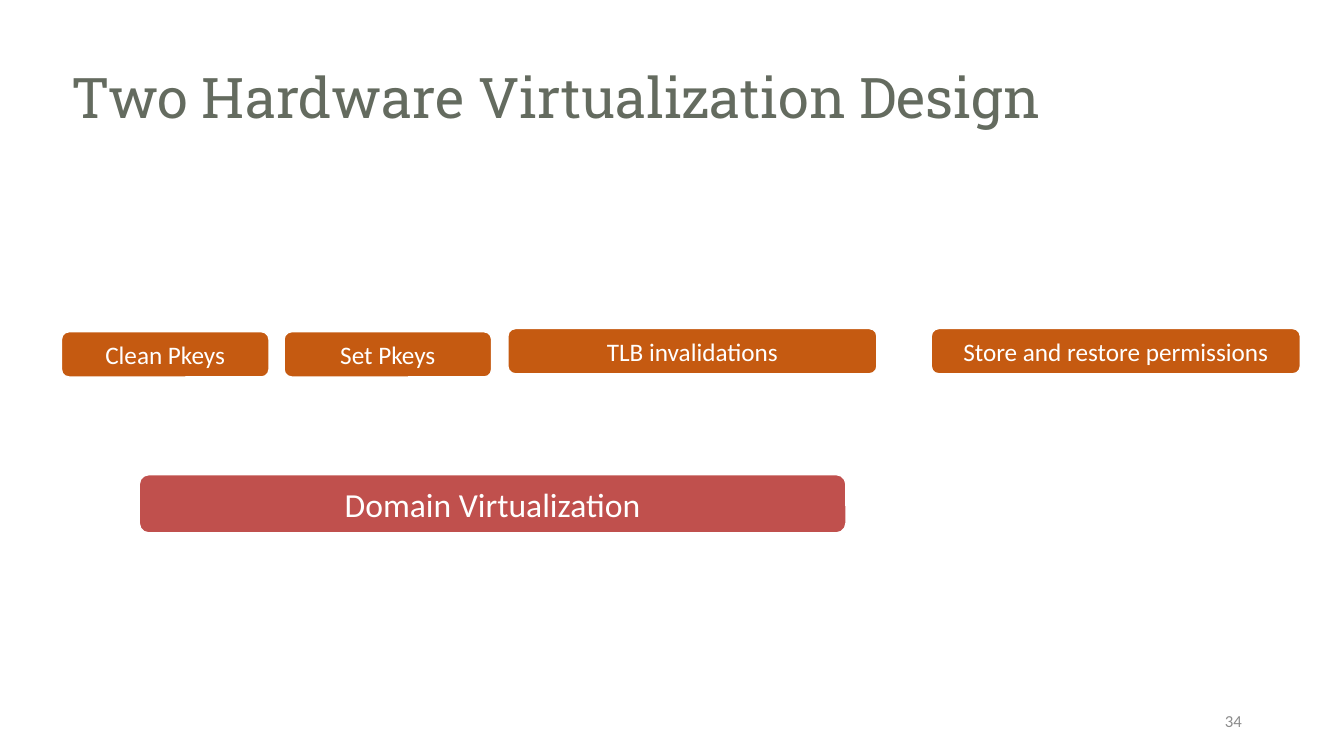
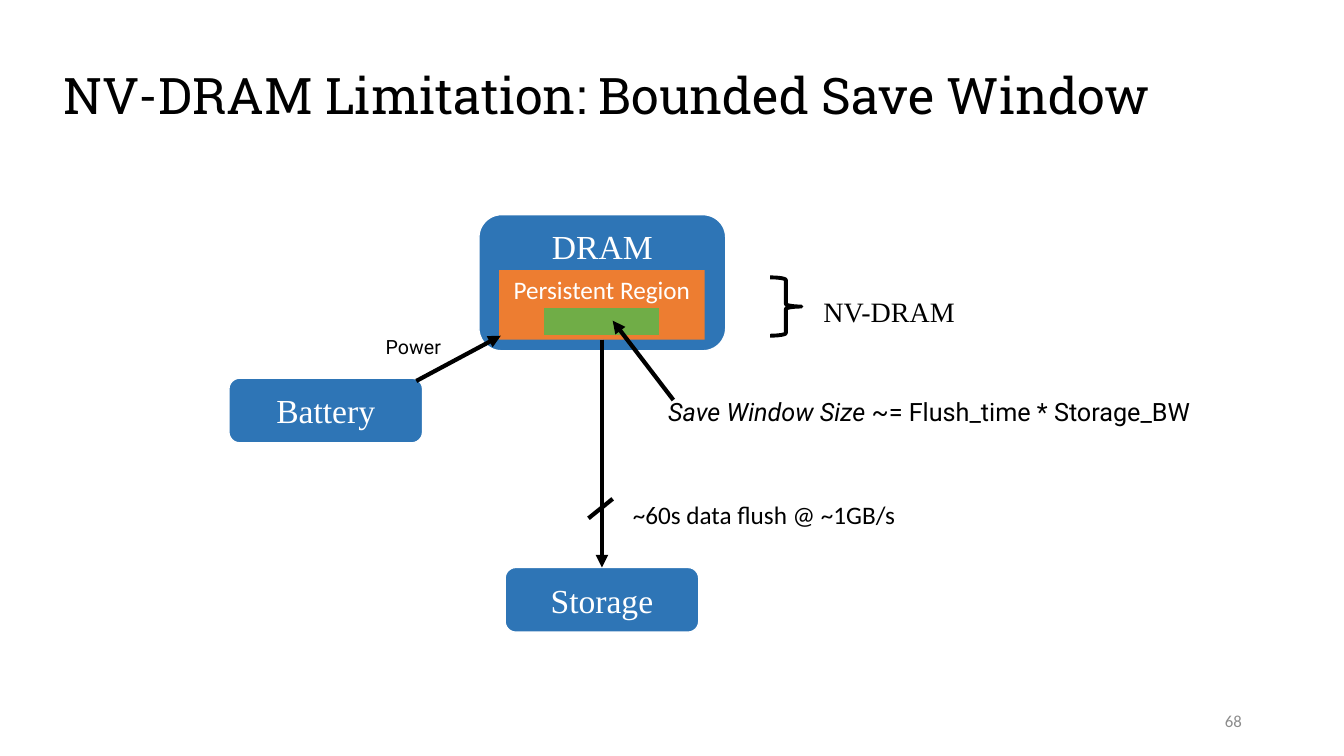
"""Build two slides on hardware virtualization and the NV-DRAM save window."""
from lxml.etree import SubElement
from pptx import Presentation
from pptx.dml.color import RGBColor
from pptx.enum.shapes import MSO_CONNECTOR, MSO_SHAPE
from pptx.enum.text import MSO_ANCHOR, MSO_AUTO_SIZE, PP_ALIGN
from pptx.oxml.ns import qn
from pptx.util import Cm, Pt

WHITE = RGBColor(0xFF, 0xFF, 0xFF)
BLACK = RGBColor(0, 0, 0)
SAGE = RGBColor(0x64, 0x6B, 0x5F)
GRAY = RGBColor(0x8C, 0x8C, 0x8C)
RUST = RGBColor(0xC5, 0x5A, 0x11)
RED = RGBColor(0xC0, 0x50, 0x4D)
BLUE = RGBColor(0x2E, 0x75, 0xB6)
ORANGE = RGBColor(0xED, 0x7D, 0x31)
GREEN = RGBColor(0x70, 0xAD, 0x47)


def write_text(shape, text, name, size, color, alignment=PP_ALIGN.LEFT, anchor=MSO_ANCHOR.MIDDLE):
    """Write one formatted paragraph and return it."""
    frame = shape.text_frame
    frame_format = {"word_wrap": True, "auto_size": MSO_AUTO_SIZE.NONE, "vertical_anchor": anchor}
    for attribute, value in frame_format.items():
        setattr(frame, attribute, value)
    paragraph = frame.paragraphs[0]
    paragraph.text = text
    paragraph.alignment = alignment
    for attribute, value in {"name": name, "size": Pt(size)}.items():
        setattr(paragraph.font, attribute, value)
    paragraph.font.color.rgb = color
    return paragraph


def add_block(slide, kind, place, fill, outline=None):
    """Add a flat shape; place is left, top, width and height in centimetres."""
    shape = slide.shapes.add_shape(kind, *map(Cm, place))
    shape.shadow.inherit = False
    shape.fill.solid()
    shape.fill.fore_color.rgb = fill
    if outline is None:
        shape.line.fill.background()
    else:
        shape.line.color.rgb = outline
        shape.line.width = Pt(1)
    return shape


presentation = Presentation()
presentation.slide_width = Cm(33.87)
presentation.slide_height = Cm(19.05)

headings = [
    ("Two Hardware Virtualization Design", (1.55, 1.52, 30.78, 2.03), 40, SAGE, "34"),
    ("NV-DRAM Limitation: Bounded Save Window", (1.35, 1.57, 31.22, 1.8), 36, BLACK, "68"),
]
for heading, place, size, color, number in headings:
    slide = presentation.slides.add_slide(presentation.slide_layouts[5])
    title = slide.shapes.title
    for attribute, value in zip(("left", "top", "width", "height"), place):
        setattr(title, attribute, Cm(value))
    write_text(title, heading, "Roboto Slab", size, color).line_spacing = 0.9
    number_box = slide.shapes.add_textbox(Cm(23.93), Cm(17.65), Cm(7.62), Cm(1.02))
    write_text(number_box, number, "Calibri", 12, GRAY, PP_ALIGN.RIGHT)

design_slide, window_slide = presentation.slides

design_blocks = [
    ("Clean Pkeys", (1.55, 8.36, 5.23, 1.14), RUST, 18),
    ("Set Pkeys", (7.16, 8.36, 5.23, 1.14), RUST, 18),
    ("TLB invalidations", (12.8, 8.28, 9.3, 1.14), RUST, 18),
    ("Store and restore permissions", (23.47, 8.28, 9.3, 1.14), RUST, 18),
    ("Domain Virtualization", (3.51, 11.96, 17.81, 1.47), RED, 24),
]
for text, place, fill, size in design_blocks:
    block = add_block(design_slide, MSO_SHAPE.ROUNDED_RECTANGLE, place, fill, WHITE)
    write_text(block, text, "Calibri", size, WHITE, PP_ALIGN.CENTER)

components = {}
for text, place, anchor in [
    ("Battery", (5.77, 9.53, 4.88, 1.63), MSO_ANCHOR.MIDDLE),
    ("DRAM", (12.07, 5.41, 6.22, 3.43), MSO_ANCHOR.TOP),
    ("Storage", (12.73, 14.3, 4.88, 1.63), MSO_ANCHOR.MIDDLE),
]:
    component = add_block(window_slide, MSO_SHAPE.ROUNDED_RECTANGLE, place, BLUE, WHITE)
    write_text(component, text, "Times New Roman", 24, WHITE, PP_ALIGN.CENTER, anchor)
    components[text] = component

region = add_block(window_slide, MSO_SHAPE.RECTANGLE, (12.58, 6.81, 5.18, 1.75), ORANGE)
write_text(region, "Persistent Region", "Calibri", 18, WHITE, PP_ALIGN.CENTER, MSO_ANCHOR.TOP)
region.text_frame.margin_top = Cm(0.1)
add_block(window_slide, MSO_SHAPE.FLOWCHART_PROCESS, (13.72, 7.75, 2.9, 0.69), GREEN)

brace = add_block(window_slide, MSO_SHAPE.RIGHT_BRACE, (19.41, 6.99, 0.79, 1.47), WHITE, BLACK)
brace.fill.background()
brace.line.width = Pt(2.75)

labels = [
    ("Power", (9.47, 8.31, 1.96, 0.86), "Roboto", 14),
    ("NV-DRAM", (20.5, 7.29, 4.09, 1.02), "Times New Roman", 20),
    ("~60s data flush @ ~1GB/s", (15.7, 12.47, 7.37, 1.02), "Calibri", 18),
    ("Save Window Size", (16.59, 9.86, 16.94, 1.02), "Roboto", 18),
]
for text, place, name, size in labels:
    label = window_slide.shapes.add_textbox(*map(Cm, place))
    paragraph = write_text(label, text, name, size, BLACK, anchor=MSO_ANCHOR.TOP)
paragraph.runs[0].font.italic = True
paragraph.add_run().text = " ~= Flush_time * Storage_BW"

lines = [
    ("power", (10.49, 9.6, 12.62, 8.46), True),
    ("flush", (15.17, 8.56, 15.17, 14.3), True),
    ("slash", (15.44, 12.57, 14.83, 13.06), False),
    ("save window", (16.97, 10.08, 15.44, 8.08), True),
]
for role, ends, has_arrow in lines:
    connector = window_slide.shapes.add_connector(MSO_CONNECTOR.STRAIGHT, *map(Cm, ends))
    connector.line.color.rgb = BLACK
    connector.line.width = Pt(3)
    if has_arrow:
        SubElement(connector.line._get_or_add_ln(), qn("a:tailEnd"), type="triangle")
    SubElement(connector._element.spPr, qn("a:effectLst"))
    if role == "flush":
        connector.begin_connect(region, 2)
        connector.end_connect(components["Storage"], 0)

presentation.save("out.pptx")
